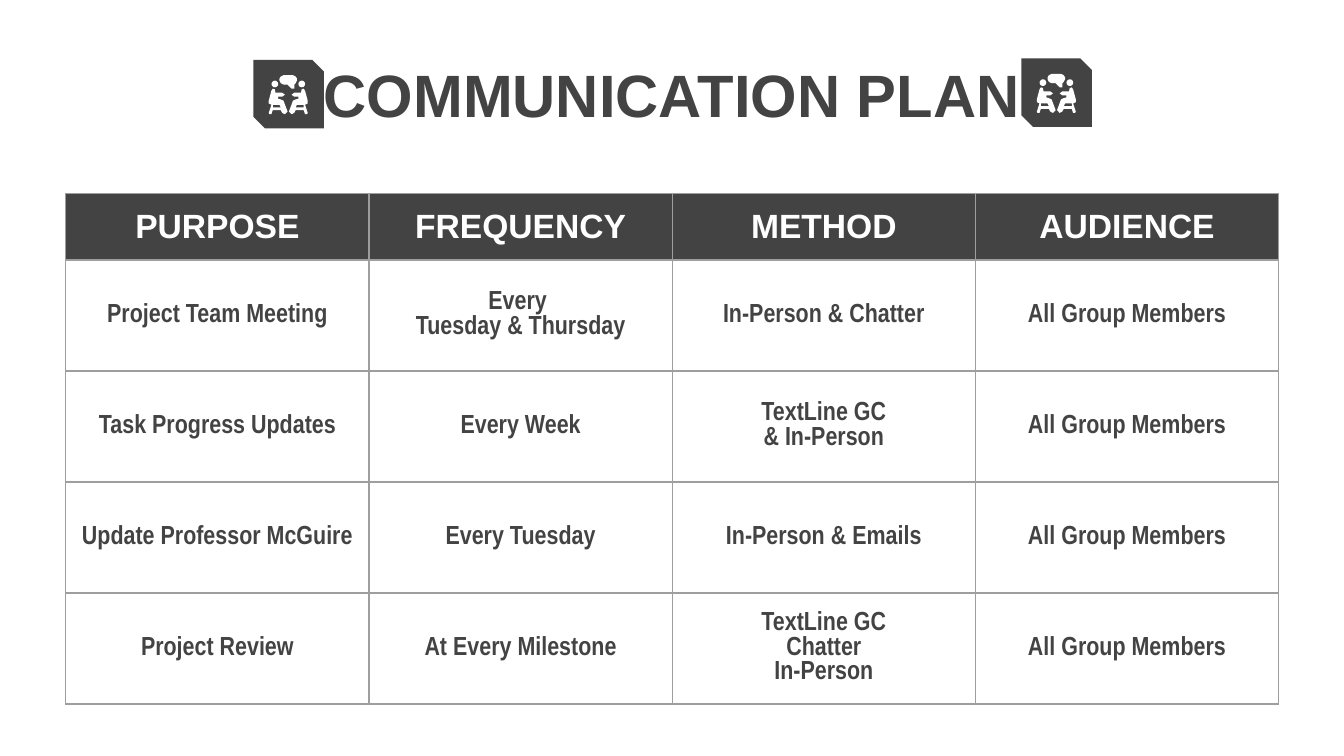
from lxml import etree
from pptx import Presentation
from pptx.dml.color import RGBColor
from pptx.enum.shapes import MSO_SHAPE
from pptx.enum.text import MSO_ANCHOR, PP_ALIGN
from pptx.oxml.ns import qn
from pptx.util import Pt

PX = 4572
CHARCOAL = RGBColor(0x43, 0x43, 0x43)
WHITE = RGBColor(0xFF, 0xFF, 0xFF)
GRID = RGBColor(0x9E, 0x9E, 0x9E)
SNIPPED = MSO_SHAPE.SNIP_2_DIAG_RECTANGLE
OVAL = MSO_SHAPE.OVAL
MIDDLE = MSO_ANCHOR.MIDDLE
CENTER = PP_ALIGN.CENTER

HEADINGS = ["PURPOSE", "FREQUENCY", "METHOD", "AUDIENCE"]
AUDIENCE = "All Group Members"
PLAN = [
    ["Project Team Meeting", "Every \nTuesday & Thursday", "In-Person & Chatter", AUDIENCE],
    ["Task Progress Updates", "Every Week", "TextLine GC\n& In-Person", AUDIENCE],
    ["Update Professor McGuire", "Every Tuesday", "In-Person & Emails", AUDIENCE],
    ["Project Review", "At Every Milestone", "TextLine GC\nChatter\nIn-Person", AUDIENCE],
]

BUBBLE = [(45, 23), (59, 23), (63, 25), (65, 28), (65, 31), (63, 35), (61, 37), (61, 43),
          (57, 43), (51, 37), (45, 37), (41, 35), (39, 31), (39, 28), (41, 25)]
SITTER = [(29, 43), (27, 46), (23, 61), (23, 65), (27, 67), (23, 79), (24, 81), (27, 81),
          (29, 75), (41, 75), (43, 79), (47, 81), (51, 77), (45, 61), (41, 59), (37, 58),
          (37, 55), (43, 55), (47, 52), (43, 49), (33, 49), (32, 44)]
SEAT_GAP = [(39, 67), (41, 71), (29, 71), (29, 67)]
MIRROR = 104


def paint(shape, color):
    """Give a shape a plain fill with no outline or shadow."""
    shape.shadow.inherit = False
    shape.fill.solid()
    shape.fill.fore_color.rgb = color
    shape.line.fill.background()


def write(frame, text, font_name, size, color):
    """Set centred bold text in a frame."""
    frame.text = text
    for para in frame.paragraphs:
        para.alignment = CENTER
        for span in para.runs:
            span.font.name = font_name
            span.font.size = Pt(size)
            span.font.bold = True
            span.font.color.rgb = color


def add_title(page, left, top, width, height):
    """Place the slide title in its box."""
    box = page.shapes.add_textbox(left * PX, top * PX, width * PX, height * PX)
    frame = box.text_frame
    frame.word_wrap = True
    frame.vertical_anchor = MIDDLE
    frame.margin_left = frame.margin_right = 20 * PX
    frame.margin_top = frame.margin_bottom = 20 * PX
    write(frame, "COMMUNICATION PLAN", "Arial", 32, CHARCOAL)


def add_outline(group, left, top, *contours):
    """Draw one white freeform from contours relative to a corner."""
    builder = None
    for contour in contours:
        points = [(left + x, top + y) for x, y in contour]
        if builder is None:
            builder = group.shapes.build_freeform(*points[0], scale=PX)
        else:
            builder.move_to(*points[0])
        builder.add_line_segments(points[1:], close=True)
    paint(builder.convert_to_shape(), WHITE)


def add_meeting_badge(page, left, top, width, height):
    """Place a snipped badge showing two seated people talking."""
    group = page.shapes.add_group_shape()
    badge = group.shapes.add_shape(SNIPPED, left * PX, top * PX, width * PX, height * PX)
    badge.adjustments[0] = 0
    badge.adjustments[1] = 0.17
    paint(badge, CHARCOAL)
    add_outline(group, left, top, BUBBLE)
    for head_x, flipped in ((27, False), (67, True)):
        head = group.shapes.add_shape(
            OVAL, (left + head_x) * PX, (top + 31) * PX, 10 * PX, 10 * PX)
        paint(head, WHITE)
        contours = [[(MIRROR - x if flipped else x, y) for x, y in contour]
                    for contour in (SITTER, SEAT_GAP)]
        add_outline(group, left, top, *contours)


def add_borders(cell):
    """Draw thin grey lines on all four sides of a cell."""
    properties = cell._tc.get_or_add_tcPr()
    for side in ("a:lnL", "a:lnR", "a:lnT", "a:lnB"):
        line = etree.SubElement(properties, qn(side), w=str(Pt(0.75)))
        fill = etree.SubElement(line, qn("a:solidFill"))
        etree.SubElement(fill, qn("a:srgbClr"), val=str(GRID))


def add_plan_table(page, left, top, width, height, header_height):
    """Place the communication plan with equal columns and body rows."""
    rows = [HEADINGS] + PLAN
    table = page.shapes.add_table(
        len(rows), len(HEADINGS), left * PX, top * PX, width * PX, height * PX).table
    table.first_row = False
    table.horz_banding = False
    body_height = (height - header_height) * PX // len(PLAN)
    for column in table.columns:
        column.width = width * PX // len(HEADINGS)
    for row_index, texts in enumerate(rows):
        is_header = row_index == 0
        table.rows[row_index].height = header_height * PX if is_header else body_height
        for column_index, text in enumerate(texts):
            cell = table.cell(row_index, column_index)
            cell.vertical_anchor = MIDDLE
            cell.margin_left = cell.margin_right = 20 * PX
            cell.margin_top = cell.margin_bottom = 10 * PX
            add_borders(cell)
            if is_header:
                cell.fill.solid()
                cell.fill.fore_color.rgb = CHARCOAL
                write(cell.text_frame, text, "Arial", 18, WHITE)
            else:
                cell.fill.background()
                write(cell.text_frame, text, "Arial Narrow", 14, CHARCOAL)


def main():
    """Build and save the communication plan slide."""
    deck = Presentation()
    deck.slide_width = 2000 * PX
    deck.slide_height = 1125 * PX
    page = deck.slides.add_slide(deck.slide_layouts[6])
    add_title(page, 430, 77, 1140, 126)
    add_plan_table(page, 98, 288, 1805, 760, 99)
    add_meeting_badge(page, 377, 89, 105, 102)
    add_meeting_badge(page, 1520, 87, 105, 102)
    deck.save("out.pptx")


if __name__ == "__main__":
    main()
